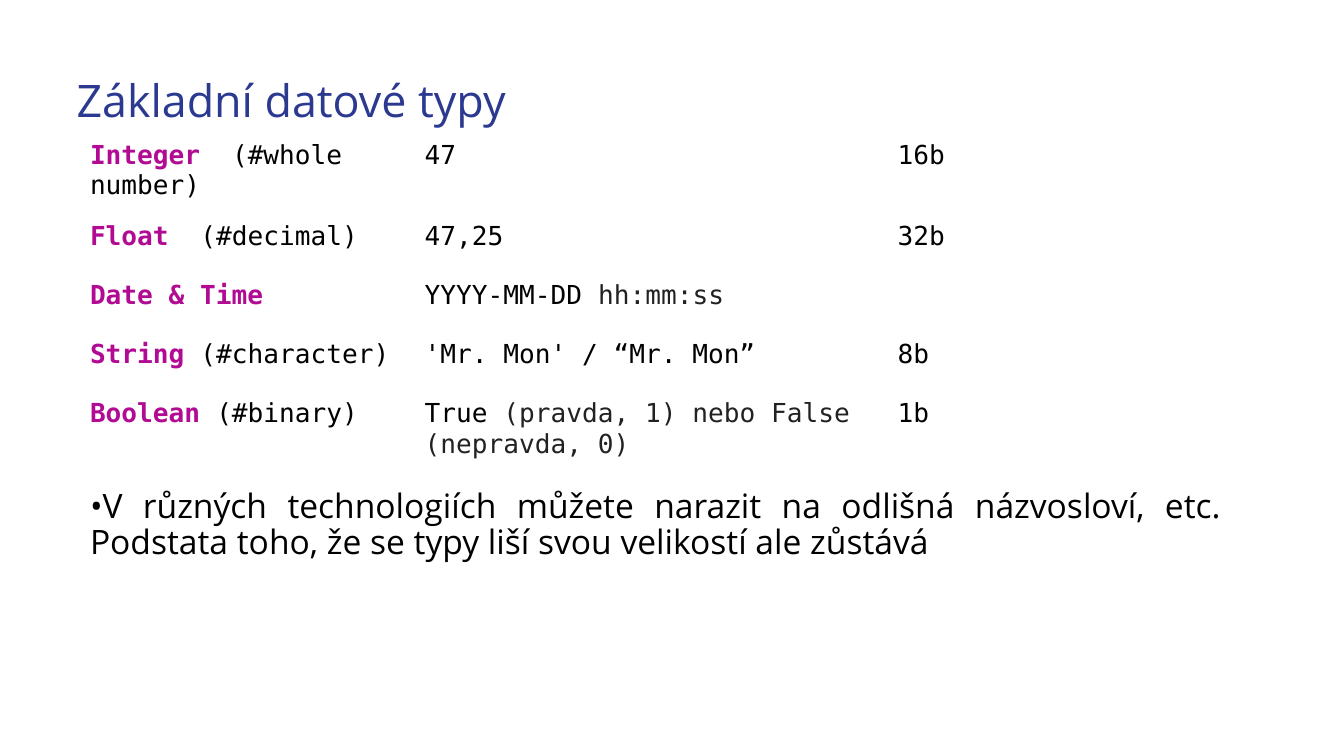
"""Builds the slide on basic data types."""
from dataclasses import dataclass
from typing import Any, NamedTuple

from lxml.etree import SubElement as Sub
from pptx import Presentation as Deck
from pptx.dml.color import RGBColor as Rgb
from pptx.enum.text import MSO_ANCHOR as Anchor, PP_ALIGN as Align
from pptx.oxml.ns import qn
from pptx.util import Inches, Pt


@dataclass(frozen=True)
class Theme:
    sans: str = "Open Sans"
    mono: str = "DejaVu Sans Mono"
    navy: str = "2B3990"
    pink: str = "B20B93"
    black: str = "000000"
    gray: str = "222222"
    head: int = 24
    body: int = 18
    code: int = 14


class Span(NamedTuple):
    text: str
    color: str
    bold: bool = False


class Box(NamedTuple):
    left: float
    top: float
    width: float
    height: float


class Row(NamedTuple):
    name: str
    note: str
    value: list[Span]
    size: str


THEME = Theme()
BLACK, GRAY = THEME.black, THEME.gray
WIDE = 10
COLS = (2.49, 3.52, 2.27)
HIGH = 0.44
PAD = 0.07
ROWS = [
    Row("Integer  ", "(#whole number)", [Span("47", BLACK)], "16b"),
    Row("Float  ", "(#decimal)", [Span("47,25", BLACK)], "32b"),
    Row("Date & Time", "",
        [Span("YYYY-MM-DD ", BLACK), Span("hh:mm:ss", GRAY)], ""),
    Row("String ", "(#character)", [Span("'Mr. Mon' / “Mr. Mon”", BLACK)], "8b"),
    Row("Boolean ", "(#binary)",
        [Span("True", BLACK),
         Span(" (pravda, 1) nebo False (nepravda, 0)", GRAY)], "1b"),
]


def style(item: Any, form: dict[str, Any]) -> None:
    for key, value in form.items():
        setattr(item, key, value)


def write(para: Any, spans: list[Span], face: str, size: int) -> None:
    for span in spans:
        if span.text:
            run = para.add_run()
            run.text = span.text
            style(run.font, {"name": face, "size": Pt(size), "bold": span.bold})
            run.font.color.rgb = Rgb.from_string(span.color)


def add_text(slide: Any, box: Box, span: Span, size: int,
             anchor: Anchor, form: dict[str, Any], dot: str = "") -> None:
    frame = slide.shapes.add_textbox(*map(Inches, box)).text_frame
    style(frame, {"word_wrap": True, "vertical_anchor": anchor,
                  "margin_left": Inches(PAD), "margin_right": Inches(PAD),
                  "margin_top": Inches(0.04), "margin_bottom": Inches(0.04)})
    para = frame.paragraphs[0]
    if dot:
        props = para._p.get_or_add_pPr()
        Sub(Sub(props, qn("a:buClr")), qn("a:srgbClr"), val=BLACK)
        Sub(props, qn("a:buFont"), typeface=THEME.sans)
        Sub(props, qn("a:buChar"), char=dot)
    style(para, form)
    write(para, [span], THEME.sans, size)


def add_types(slide: Any, left: float, top: float) -> None:
    box = Box(left, top, sum(COLS), HIGH * len(ROWS))
    table = slide.shapes.add_table(
        len(ROWS), len(COLS), *map(Inches, box)).table
    style(table, {"first_row": False, "horz_banding": False})
    for col, width in zip(table.columns, COLS):
        col.width = Inches(width)
    sides = ("left", "right", "top", "bottom")
    pads = {f"margin_{side}": Inches(PAD) for side in sides}
    for line, row in zip(table.rows, ROWS):
        line.height = Inches(HIGH)
        label = [Span(row.name, THEME.pink, True), Span(row.note, BLACK)]
        parts = (label, row.value, [Span(row.size, BLACK)])
        for cell, spans in zip(line.cells, parts):
            cell.fill.background()
            style(cell, pads)
            write(cell.text_frame.paragraphs[0], spans, THEME.mono, THEME.code)


def main() -> None:
    deck = Deck()
    style(deck, {"slide_width": Inches(WIDE),
                 "slide_height": Inches(WIDE * 9 / 16)})
    slide = deck.slides.add_slide(deck.slide_layouts[6])
    add_text(slide, Box(0.5, 0.48, 9.01, 0.5),
             Span("Základní datové typy", THEME.navy), THEME.head,
             Anchor.BOTTOM, {"line_spacing": 1.15})
    add_text(slide, Box(0.6, 3.6, 8.56, 0.84),
             Span("V různých technologiích můžete narazit na odlišná "
                  "názvosloví, etc. Podstata toho, že se typy liší svou "
                  "velikostí ale zůstává", BLACK), THEME.body, Anchor.TOP,
             {"line_spacing": 0.9, "alignment": Align.JUSTIFY}, "•")
    add_types(slide, 0.6, 0.97)
    deck.save("out.pptx")


if __name__ == "__main__":
    main()
